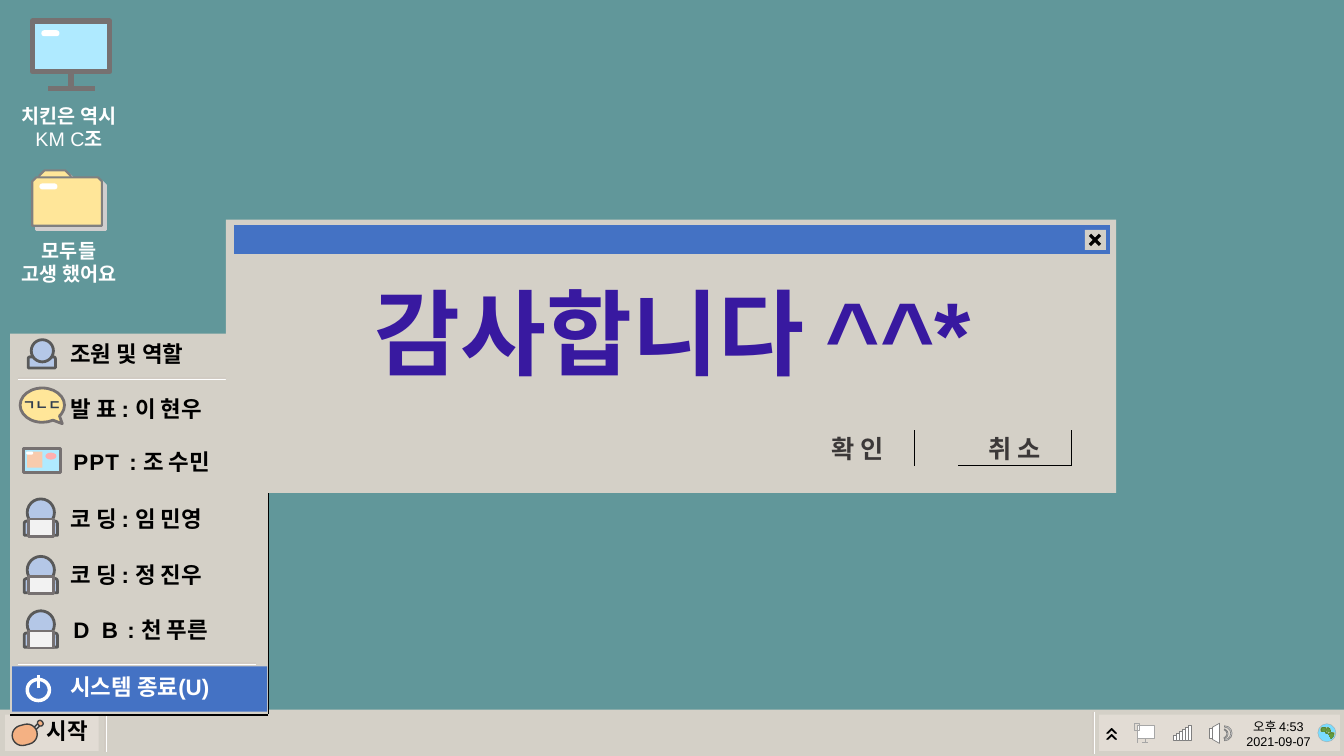
from dataclasses import dataclass
from typing import Optional

from pptx import Presentation
from pptx.dml.color import RGBColor
from pptx.enum.shapes import MSO_CONNECTOR, MSO_SHAPE as S
from pptx.enum.text import MSO_ANCHOR, MSO_AUTO_SIZE, PP_ALIGN
from pptx.oxml import parse_xml
from pptx.oxml.ns import nsdecls, qn
from pptx.util import Emu, Inches, Pt
from lxml.etree import SubElement

# The slide is a grid of 1333 columns and 750 rows
COLUMNS, ROWS = 1333, 750
CELL = Inches(0.01)

COLORS = {
    "desktop": "61979A", "panel": "D4D0C7", "tray": "E2DCD4", "bevel": "D1CBC3",
    "white": "FFFFFF", "black": "000000", "gray": "808080", "pale gray": "A6A6A6",
    "frame": "767171", "outline": "595959", "dark": "404040", "sky": "AFEAFF",
    "folder": "FFE699", "folder back": "D0CECE", "person": "B4C7E7",
    "laptop": "F2F2F2", "peach": "F8CBAD", "pink": "FFAFAF", "meat": "F4B183",
    "bone": "D9D9D9", "sea": "79DCFF", "blue": "4472C4", "thanks": "3819A0",
    "button": "3B3838", "speech": "333F50",
}
LAND_STOPS = ((0, "649A3F"), (42, "649A3F"), (62, "548235"), (100, "E2F0D9"))


@dataclass
class Part:
    kind: S
    left: float
    top: float
    width: float
    height: float
    fill: Optional[str] = None
    line: Optional[str] = None
    weight: float = 0
    turn: float = 0
    adjust: tuple = ()


@dataclass
class Stroke:
    x1: float
    y1: float
    x2: float
    y2: float
    color: str
    weight: float


@dataclass
class Label:
    left: float
    top: float
    width: float
    height: float
    lines: list  # each line is a list of (text, letter spacing, bold)
    size: float
    color: str
    align: PP_ALIGN = PP_ALIGN.CENTER
    indent: float = 0
    middle: bool = False


prs = Presentation()
prs.slide_width, prs.slide_height = COLUMNS * CELL, ROWS * CELL
slide = prs.slides.add_slide(prs.slide_layouts[6])
slide.background.fill.solid()


def cells(*counts: float) -> list:
    return [Emu(round(count * CELL)) for count in counts]


def rgb(name: str) -> RGBColor:
    return RGBColor.from_string(COLORS[name])


slide.background.fill.fore_color.rgb = rgb("desktop")


def draw(part: Part):
    shape = slide.shapes.add_shape(
        part.kind, *cells(part.left, part.top, part.width, part.height))
    shape.shadow.inherit = False
    shape.rotation = part.turn
    for index, value in enumerate(part.adjust):
        shape.adjustments[index] = value
    if part.fill == "land":
        stops = "".join(f'<a:gs pos="{pos * 1000}"><a:srgbClr val="{color}"/></a:gs>'
                        for pos, color in LAND_STOPS)
        shape._element.spPr.find(qn("a:prstGeom")).addnext(parse_xml(
            f'<a:gradFill {nsdecls("a")}><a:gsLst>{stops}</a:gsLst><a:path path="circle">'
            '<a:fillToRect l="50000" t="50000" r="50000" b="50000"/></a:path></a:gradFill>'))
    elif part.fill:
        shape.fill.solid()
        shape.fill.fore_color.rgb = rgb(part.fill)
    else:
        shape.fill.background()
    if part.line:
        shape.line.color.rgb = rgb(part.line)
        shape.line.width = Pt(part.weight)
    else:
        shape.line.fill.background()
    return shape


def rule(stroke: Stroke):
    connector = slide.shapes.add_connector(
        MSO_CONNECTOR.STRAIGHT, *cells(stroke.x1, stroke.y1, stroke.x2, stroke.y2))
    connector.line.color.rgb = rgb(stroke.color)
    connector.line.width = Pt(stroke.weight)
    SubElement(connector._element.spPr, qn("a:effectLst"))
    return connector


def groove(x1: float, y1: float, x2: float, y2: float, dx: int, dy: int) -> None:
    rule(Stroke(x1, y1, x2, y2, "white", 1.5))
    rule(Stroke(x1 - dx, y1 - dy, x2 - dx, y2 - dy, "bevel", 1.5))


def fill_text(frame, label: Label) -> None:
    frame.word_wrap = True
    frame.vertical_anchor = MSO_ANCHOR.MIDDLE if label.middle else MSO_ANCHOR.TOP
    for index, runs in enumerate(label.lines):
        paragraph = frame.add_paragraph() if index else frame.paragraphs[0]
        paragraph.alignment = label.align
        if label.indent:
            paragraph._p.get_or_add_pPr().set("marL", str(cells(label.indent)[0]))
        for text, spacing, bold in runs:
            run = paragraph.add_run()
            run.text = text
            style = {"name": "Arial", "size": Pt(label.size), "bold": bold}
            for attribute, value in style.items():
                setattr(run.font, attribute, value)
            run.font.color.rgb = rgb(label.color)
            if spacing:
                run._r.get_or_add_rPr().set("spc", str(round(spacing * 100)))


def write(label: Label) -> None:
    box = slide.shapes.add_textbox(
        *cells(label.left, label.top, label.width, label.height))
    fill_text(box.text_frame, label)
    if not label.middle:
        box.text_frame.auto_size = MSO_AUTO_SIZE.SHAPE_TO_FIT_TEXT


def plain(*lines: str, bold: bool = True) -> list:
    return [[(line, 0, bold)] for line in lines]


# Taskbar, clock and tray
draw(Part(S.RECTANGLE, 0, 704, COLUMNS, 46, "panel"))
draw(Part(S.RECTANGLE, 1090, 709, 239, 36, "tray"))
write(Label(1222, 708, 92, 40, plain("오후 4:53", "2021-09-07", bold=False), 9, "black"))
for step in range(6):
    draw(Part(S.RECTANGLE, 1164 + 3 * step, 730 - 2 * step, 3, 5 + 2 * step,
              "white", "gray", 0.5))
for speaker in (
    Part(S.FLOWCHART_PROCESS, 1199, 723, 5, 9, "white", "gray", 0.5),
    Part(S.FLOWCHART_MANUAL_OPERATION, 1196, 724, 20, 7, "white", "gray", 0.5, 90),
    Part(S.BLOCK_ARC, 1207, 720, 15, 15, "white", "gray", 0.5, 90, (108, 0, 0.09)),
    Part(S.BLOCK_ARC, 1208, 723, 10, 10, "white", "gray", 0.5, 90, (117.93, 207.93, 0.12)),
):
    draw(speaker)
groove(105, 709, 105, 746, 1, 0)
groove(1085, 706, 1085, 748, 1, 0)
for chevron_top in (724, 730):
    draw(Part(S.HALF_FRAME, 1099, chevron_top, 7, 7, "black", "black", 0.5, 45, (0.15, 0.15)))
network = draw(Part(S.FLOWCHART_PROCESS, 1128, 720, 17, 13, "white", "pale gray", 0.75))
rule(Stroke(1136.5, 733, 1136.5, 736, "pale gray", 0.75)).begin_connect(network, 2)
rule(Stroke(1133, 737, 1139, 737, "pale gray", 0.75))
rule(Stroke(1128, 737, 1128, 727, "pale gray", 0.75))
draw(Part(S.FLOWCHART_PROCESS, 1125, 718, 5, 7, None, "pale gray", 0.75))
for globe in (
    Part(S.OVAL, 1307, 718, 18, 18, "sea", "pale gray", 0.25),
    Part(S.OVAL, 1314, 722, 6, 6, "land"),
    Part(S.RECTANGLE, 1310, 722, 6, 4, "land"),
    Part(S.ISOSCELES_TRIANGLE, 1317, 727, 7, 6, "land", turn=180),
):
    draw(globe)

# Desktop icons
write(Label(-1, 98, 139, 57, [[("치킨은 역시", 0, True)],
                              [("KM C", 0, False), ("조", 0, True)]], 14, "white"))
for shift, fill, line in ((4, "folder back", "folder back"), (0, "folder", "gray")):
    draw(Part(S.SNIP_2_SAME_RECTANGLE, 39 + shift, 169 + shift, 31, 16,
              fill, line, 1.5, 0, (0.33, 0)))
    draw(Part(S.SNIP_2_SAME_RECTANGLE, 32 + shift, 176 + shift, 69, 48,
              fill, line, 1.5, 0, (0.08, 0)))
monitor = draw(Part(S.FLOWCHART_PROCESS, 32, 21, 77, 50, "sky", "frame", 3.75))
rule(Stroke(70.5, 71, 70.5, 88, "frame", 3.75)).begin_connect(monitor, 2)
rule(Stroke(48, 88, 94, 88, "frame", 3.75))
write(Label(-1, 232, 139, 57, plain("모두들", "고생 했어요"), 14, "white"))
for left, top in ((41, 30), (39, 182)):
    draw(Part(S.ROUNDED_RECTANGLE, left, top, 18, 6, "white", adjust=(0.5,)))

# Start button
draw(Part(S.RECTANGLE, 5, 709, 93, 36, "tray"))
write(Label(29, 707, 76, 37, plain("시작"), 16, "black"))
draw(Part(S.RECTANGLE, 35, 717, 3, 8, "bone", "dark", 1, 45))
draw(Part(S.ROUNDED_RECTANGLE, 37, 715, 6, 5, "meat", "dark", 1, 45, (0.5,)))
draw(Part(S.ROUNDED_RECTANGLE, 12, 719, 25, 20, "meat", "dark", 1, 345, (0.5,)))

# Start menu
draw(Part(S.RECTANGLE, 10, 331, 256, 377, "panel"))
rule(Stroke(266, 331, 266, 708, "black", 0.5))
rule(Stroke(266, 709, 10, 709, "black", 1.25))
for groove_row in (659, 376):
    groove(254, groove_row, 18, groove_row, 0, 1)
for top, indent, runs in (
    (333, 0, [("조원 및 역할", 0, True)]),
    (387, 0, [("발 표 : 이 현우", 0, True)]),
    (440, 3, [("PP", 0.8, True), ("T", 0, True), (" ", 2.9, True), (": 조 수민", 0, True)]),
    (496, 0, [("코 딩 : 임 민영", 0, True)]),
    (552, 0, [("코 딩 : 정 진우", 0, True)]),
    (606, 3, [("D", 0, True), (" ", 4.4, True), ("B", 0, True), (" ", 2.2, True),
              (": 천 푸른", 0, True)]),
):
    write(Label(60, top, 209, 37, [runs], 16, "black", PP_ALIGN.LEFT, indent))
for menu_icon in (
    Part(S.ROUND_2_SAME_RECTANGLE, 28, 354, 27, 11, "person", "outline", 2),
    Part(S.OVAL, 31, 337, 22, 22, "person", "outline", 2),
    Part(S.OVAL_CALLOUT, 20, 385, 44, 34, "folder", "frame", 2, 0, (0.45, 0.54)),
    Part(S.FLOWCHART_PROCESS, 23, 445, 37, 24, "sky", "frame", 2.25),
    Part(S.RECTANGLE, 27, 448, 15, 16, "peach"),
    Part(S.OVAL, 45, 449, 11, 7, "pink"),
    Part(S.ROUNDED_RECTANGLE, 26, 448, 7, 3, "white", adjust=(0.5,)),
):
    draw(menu_icon)
write(Label(-11, 390, 105, 23, plain("ㄱㄴㄷ"), 10, "speech", middle=True))
for coder_top in (495, 552, 606):
    draw(Part(S.ROUND_2_SAME_RECTANGLE, 24, coder_top + 22, 33, 14, "person", "outline", 2))
    draw(Part(S.OVAL, 27, coder_top, 27, 27, "person", "outline", 2))
    draw(Part(S.RECTANGLE, 28, coder_top + 20, 25, 17, "laptop", "frame", 2))

# Shutdown entry
draw(Part(S.RECTANGLE, 12, 661, 253, 45, "blue"))
write(Label(60, 663, 209, 37, plain("시스템 종료(U)"), 16, "white", PP_ALIGN.LEFT))
draw(Part(S.OVAL, 27, 674, 22, 21, None, "white", 2.5))
rule(Stroke(38, 683, 38, 670, "white", 2.5))

# Thank-you dialog
draw(Part(S.RECTANGLE, 224, 218, 883, 271, "panel"))
draw(Part(S.FLOWCHART_PROCESS, 232, 223, 869, 29, "blue"))
draw(Part(S.RECTANGLE, 1076, 228, 21, 20, "panel"))
for start, end in ((1081, 1091), (1091, 1081)):
    rule(Stroke(start, 233, end, 243, "black", 2.25))
write(Label(228, 268, 879, 122, plain("감사합니다 ^^*"), 66.7, "thanks"))
for left, caption, edge in ((794, "확 인", 0.25), (950, "취 소", 0.75)):
    button = Part(S.RECTANGLE, left, 427, 113, 35, "panel")
    fill_text(draw(button).text_frame, Label(
        left, 427, 113, 35, plain(caption), 18, "button", middle=True))
    rule(Stroke(left + 113, 427, left + 113, 462, "black", edge))
rule(Stroke(1063, 462, 950, 462, "black", 0.75))

prs.save("out.pptx")
